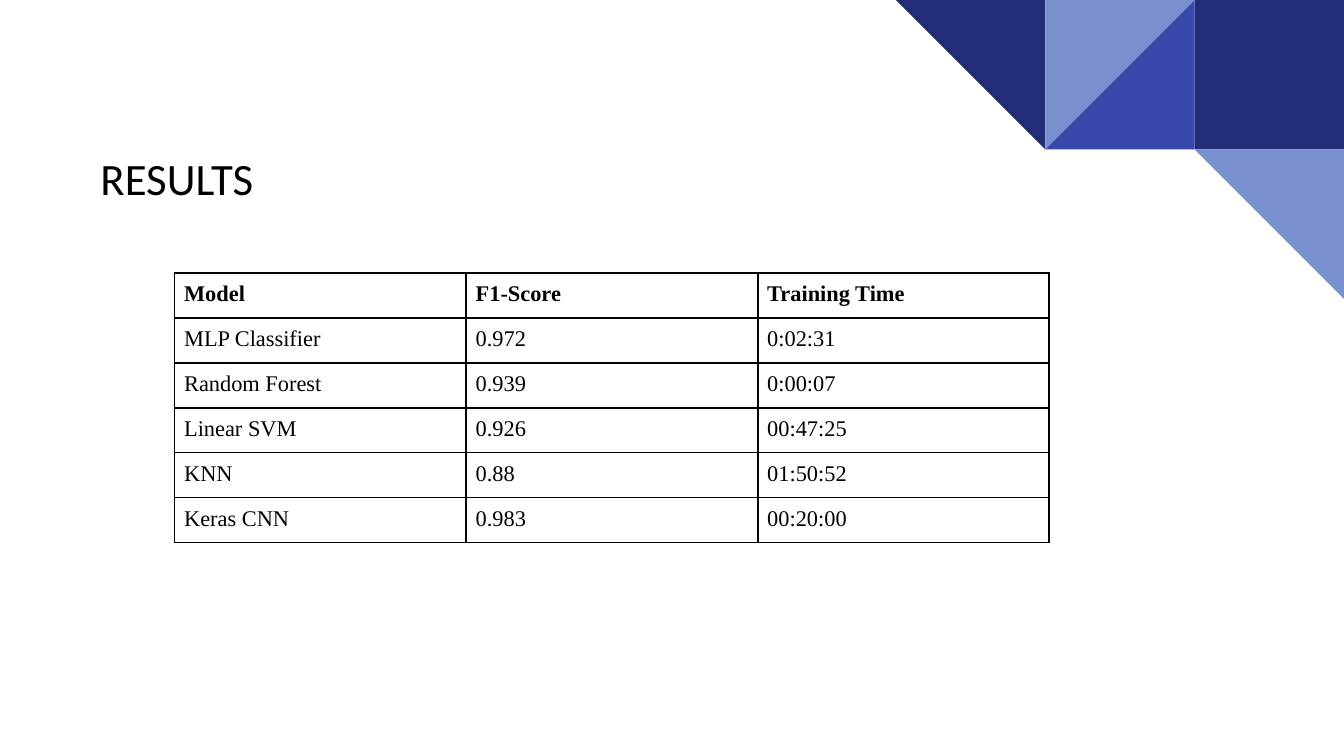
from lxml import etree
from pptx import Presentation
from pptx.dml.color import RGBColor
from pptx.enum.shapes import MSO_SHAPE
from pptx.enum.text import MSO_ANCHOR
from pptx.oxml.ns import qn
from pptx.util import Cm, Pt

RECTANGLE = MSO_SHAPE.RECTANGLE
RIGHT_TRIANGLE = MSO_SHAPE.RIGHT_TRIANGLE
TOP = MSO_ANCHOR.TOP

BLACK = RGBColor(0x00, 0x00, 0x00)
NAVY = RGBColor(0x21, 0x2D, 0x74)
INDIGO = RGBColor(0x39, 0x49, 0xAB)
SKY = RGBColor(0x78, 0x90, 0xCD)

RESULTS = [
    ("Model", "F1-Score", "Training Time"),
    ("MLP Classifier", "0.972", "0:02:31"),
    ("Random Forest", "0.939", "0:00:07"),
    ("Linear SVM", "0.926", "00:47:25"),
    ("KNN", "0.88", "01:50:52"),
    ("Keras CNN", "0.983", "00:20:00"),
]

CORNER_TILES = [
    (2, 0, RECTANGLE, 0, NAVY),
    (1, 0, RIGHT_TRIANGLE, 270, INDIGO),
    (1, 0, RIGHT_TRIANGLE, 90, SKY),
    (0, 0, RIGHT_TRIANGLE, 180, NAVY),
    (2, 1, RIGHT_TRIANGLE, 180, SKY),
]


def format_run(run, font_name, size, bold=False):
    run.font.name = font_name
    run.font.size = Pt(size)
    run.font.bold = bold
    run.font.color.rgb = BLACK


def add_corner(slide, left, top, width):
    side = width / 3
    for column, row, geometry, rotation, color in CORNER_TILES:
        tile = slide.shapes.add_shape(
            geometry, Cm(left + column * side), Cm(top + row * side), Cm(side), Cm(side))
        tile.rotation = rotation
        tile.shadow.inherit = False
        tile.fill.solid()
        tile.fill.fore_color.rgb = color
        tile.line.fill.background()


def add_title(slide, left, top, width, height):
    title = slide.shapes.add_textbox(Cm(left), Cm(top), Cm(width), Cm(height))
    frame = title.text_frame
    frame.word_wrap = True
    frame.vertical_anchor = TOP
    frame.margin_left = frame.margin_right = Cm(0.25)
    frame.margin_top = frame.margin_bottom = 0
    frame.text = "RESULTS"
    format_run(frame.paragraphs[0].runs[0], "Calibri", 24)


def add_borders(cell):
    properties = cell._tc.get_or_add_tcPr()
    for position, side in enumerate(("a:lnL", "a:lnR", "a:lnT", "a:lnB")):
        border = etree.Element(qn(side), w=str(Pt(1)))
        fill = etree.SubElement(border, qn("a:solidFill"))
        etree.SubElement(fill, qn("a:srgbClr"), val=str(BLACK))
        properties.insert(position, border)


def add_results(slide, left, top, width, height):
    table = slide.shapes.add_table(
        len(RESULTS), len(RESULTS[0]), Cm(left), Cm(top), Cm(width), Cm(height)).table
    table.horz_banding = False
    for row, values in enumerate(RESULTS):
        for column, value in enumerate(values):
            cell = table.cell(row, column)
            cell.fill.background()
            cell.margin_left = cell.margin_right = Cm(0.18)
            cell.margin_top = cell.margin_bottom = Cm(0.17)
            cell.text_frame.text = value
            format_run(cell.text_frame.paragraphs[0].runs[0],
                       "Times New Roman", 12, bold=row == 0)
            add_borders(cell)


def main():
    presentation = Presentation()
    presentation.slide_width = Cm(25.4)
    presentation.slide_height = Cm(14.29)
    slide = presentation.slides.add_slide(presentation.slide_layouts[6])
    add_corner(slide, 16.93, 0, 8.47)
    add_title(slide, 1.65, 2.84, 22.83, 3.28)
    add_results(slide, 3.3, 5.16, 16.53, 4.94)
    presentation.save("out.pptx")


if __name__ == "__main__":
    main()
